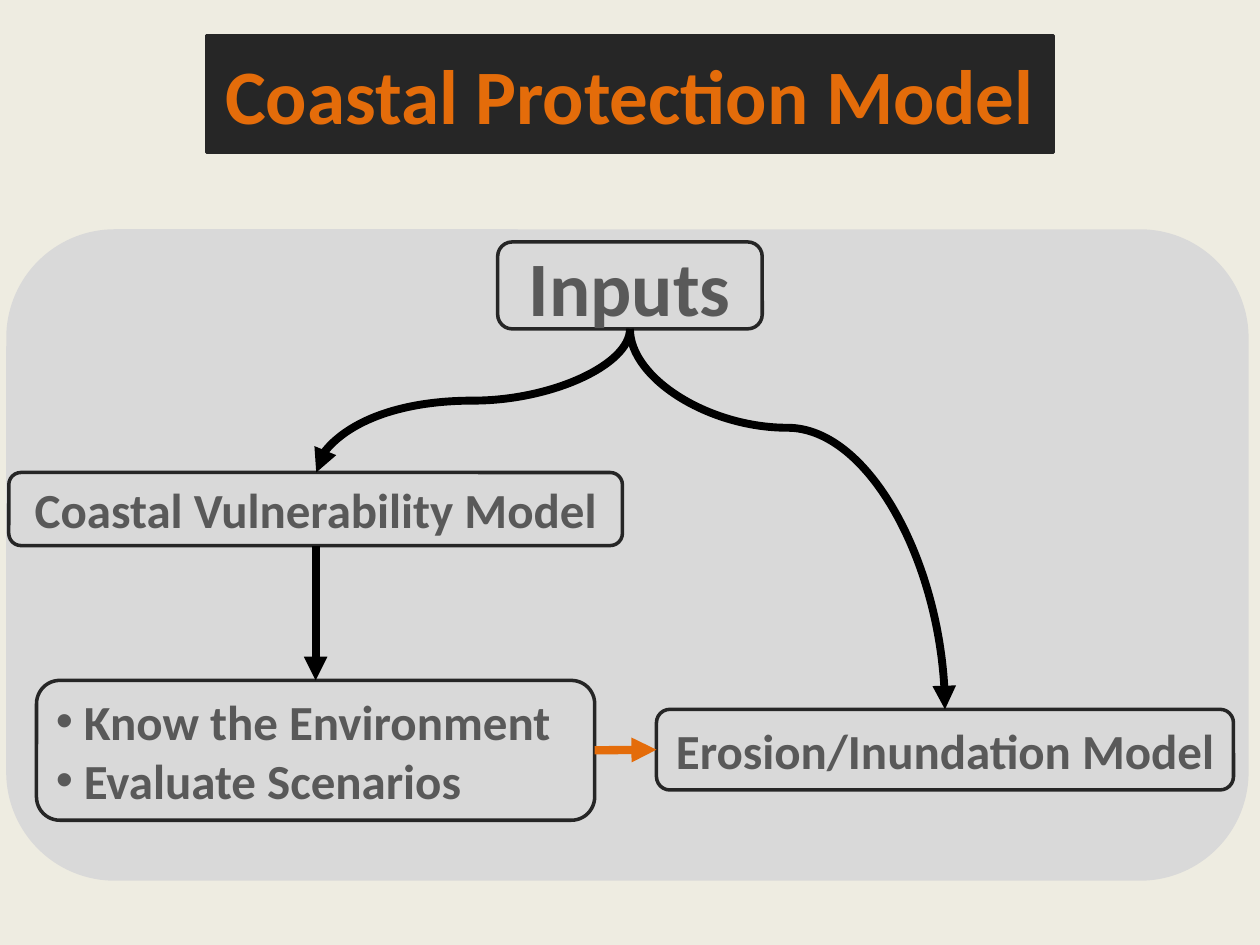
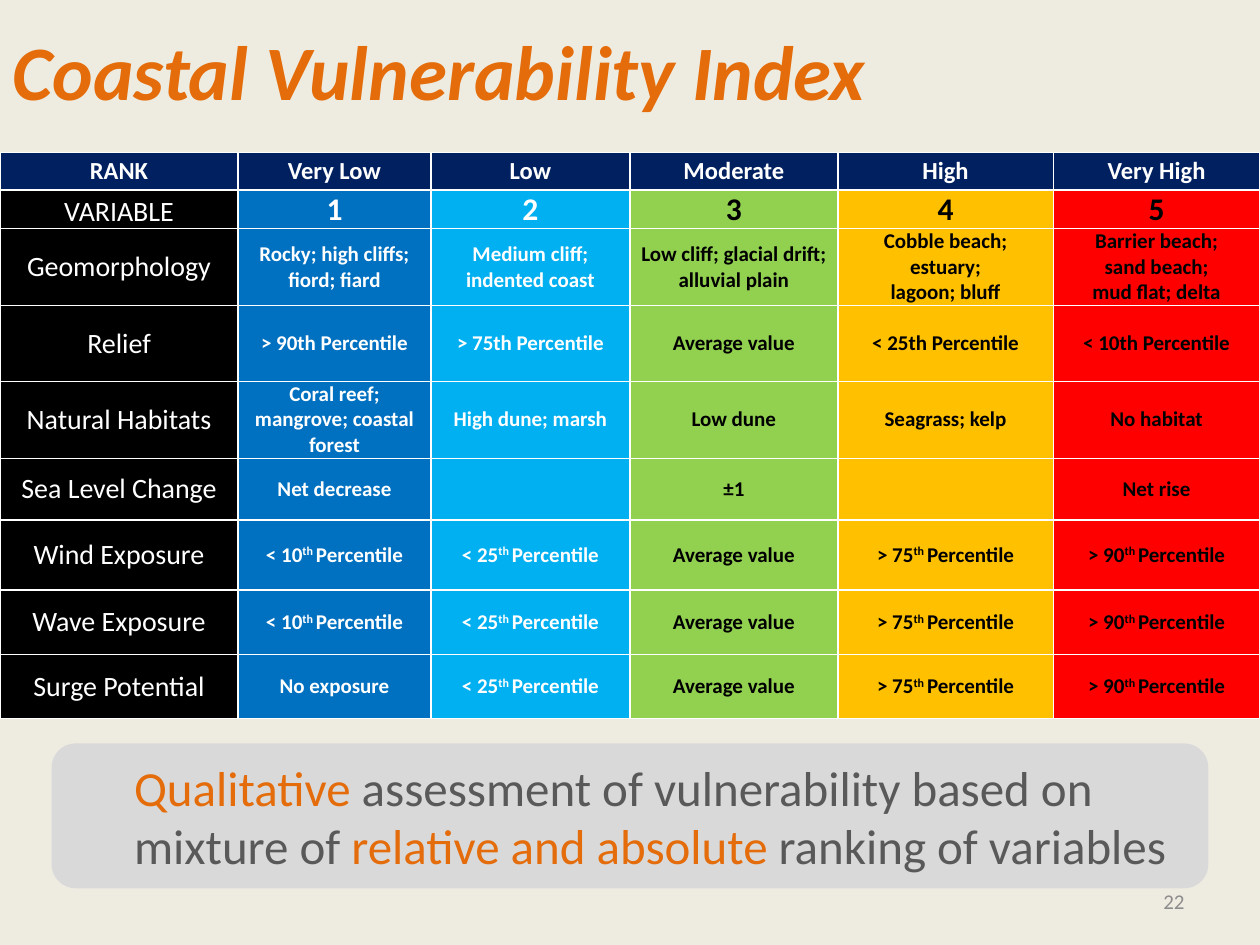
import pptx
import pptx.dml.color
import pptx.enum.shapes
import pptx.enum.text
import pptx.oxml.ns
import pptx.util
from lxml import etree

Pt = pptx.util.Pt
qn = pptx.oxml.ns.qn
ALIGN = pptx.enum.text.PP_ALIGN
MIDDLE = pptx.enum.text.MSO_ANCHOR.MIDDLE
BOTTOM = pptx.enum.text.MSO_ANCHOR.BOTTOM
ROUNDED = pptx.enum.shapes.MSO_SHAPE.ROUNDED_RECTANGLE
CONNECTOR = pptx.enum.shapes.MSO_CONNECTOR

COLORS = {
    "background": "EEECE1", "panel": "D9D9D9", "dark": "262626",
    "orange": "E46C0A", "gray": "595959", "number": "8C8C8C",
    "black": "000000", "white": "FFFFFF", "navy": "002060",
}
RANK_FILLS = ["0070C0", "00B0F0", "92D050", "FFC000", "FF0000"]
RANK_TEXT = ["white", "white", "black", "black", "black"]

COLUMN_WIDTHS = [136.08, 110.16, 113.76, 118.8, 123.12, 118.08]
ROW_HEIGHTS = [21.6, 22, 44, 43.2, 44, 35.2, 40.2, 36.8, 36.6]
EXPOSURE = ["< 10|th |Percentile", "< 25|th |Percentile", "Average value",
            "> 75|th |Percentile", "> 90|th |Percentile"]
INDEX_ROWS = [
    ["RANK", "Very Low", "Low", "Moderate", "High", "Very High"],
    ["VARIABLE", "1", "2", "3", "4", "5"],
    ["Geomorphology", "Rocky; high cliffs; fiord; fiard", "Medium cliff; indented coast",
     "Low cliff; glacial drift; alluvial plain", "Cobble beach; estuary;\vlagoon; bluff",
     "Barrier beach;\vsand beach;\vmud flat; delta"],
    ["Relief", "> 90th Percentile", "> 75th Percentile", "Average value",
     "< 25th Percentile", "< 10th Percentile"],
    ["Natural Habitats", "Coral reef; mangrove; coastal forest", "High dune; marsh",
     "Low dune", "Seagrass; kelp", "No habitat"],
    ["Sea Level Change", "Net decrease", "", "±1", "", "Net rise"],
    ["Wind Exposure", *EXPOSURE],
    ["Wave Exposure", *EXPOSURE],
    ["Surge Potential", "No exposure", *EXPOSURE[1:]],
]


def rgb(name):
    return pptx.dml.color.RGBColor.from_string(COLORS.get(name, name))


class Deck:
    FONT = "Calibri"

    def __init__(self):
        self.prs = pptx.Presentation()
        self.prs.slide_width, self.prs.slide_height = Pt(720), Pt(540)
        fill = self.prs.slide_master.background.fill
        fill.solid()
        fill.fore_color.rgb = rgb("background")
        self.s = None

    def add_slide(self, layout):
        self.s = self.prs.slides.add_slide(self.prs.slide_layouts[layout])

    def font(self, font, size, color, bold=False, italic=False):
        font.name, font.size = self.FONT, Pt(size)
        font.bold, font.italic = bold, italic
        font.color.rgb = rgb(color)

    def paint(self, sp, fill=None, line=None):
        if fill:
            sp.fill.solid()
            sp.fill.fore_color.rgb = rgb(fill)
        else:
            sp.fill.background()
        if line:
            sp.line.color.rgb = rgb(line)
            sp.line.width = Pt(2)
        else:
            sp.line.fill.background()

    def set_text(self, tf, text, size, color, align=ALIGN.CENTER, **style):
        """Fill the frame with one paragraph per line of text."""
        tf.text = text
        tf.word_wrap = True
        tf.vertical_anchor = MIDDLE
        for p in tf.paragraphs:
            p.alignment = align
            for r in p.runs:
                self.font(r.font, size, color, **style)

    def box(self, at, fill=None, line=None):
        sp = self.s.shapes.add_shape(ROUNDED, *map(Pt, at))
        sp.shadow.inherit = False
        self.paint(sp, fill, line)
        return sp

    def label(self, at, text, size=28):
        sp = self.box(at, line="dark")
        self.set_text(sp.text_frame, text, size, "gray", bold=True)
        return sp

    def rounded_placeholder(self, index, at, fill=None, line=None):
        sp = self.s.placeholders[index]
        sp.left, sp.top, sp.width, sp.height = map(Pt, at)
        geometry = etree.SubElement(sp.element.spPr, qn("a:prstGeom"), prst="roundRect")
        etree.SubElement(geometry, qn("a:avLst"))
        self.paint(sp, fill, line)
        sp.text_frame.auto_size = pptx.enum.text.MSO_AUTO_SIZE.NONE
        return sp

    def title(self, at, text, fill=None, align=ALIGN.CENTER, italic=False):
        sp = self.rounded_placeholder(0, at, fill, fill)
        self.set_text(sp.text_frame, text, 44, "orange", align, bold=True, italic=italic)

    def bullets(self, at, items):
        sp = self.rounded_placeholder(1, at, line="dark")
        self.set_text(sp.text_frame, "\n".join(items), 28, "gray", ALIGN.LEFT, bold=True)
        for p in sp.text_frame.paragraphs:
            p.space_before = Pt(0)
            pPr = p._p.get_or_add_pPr()
            pPr.set("marL", str(Pt(16)))
            pPr.set("indent", str(Pt(-16)))
            etree.SubElement(pPr, qn("a:buChar"), char="•")
        return sp

    def arrow(self, kind, ends, color, width):
        line = self.s.shapes.add_connector(kind, *map(Pt, ends))
        line.line.color.rgb = rgb(color)
        line.line.width = Pt(width)
        etree.SubElement(line.line._get_or_add_ln(), qn("a:tailEnd"), type="triangle")
        etree.SubElement(line.element.spPr, qn("a:effectLst"))
        return line

    def straight_arrow(self, start, start_side, end, end_side, color, width):
        line = self.arrow(CONNECTOR.STRAIGHT, (0, 0, 0, 0), color, width)
        line.begin_connect(start, start_side)
        line.end_connect(end, end_side)

    def curved_arrow(self, x1, y1, x2, y2, bend):
        """Draw an S-curve that leaves and arrives vertically, bending at a share of its drop."""
        cx, cy = (x1 + x2) / 2, (y1 + y2) / 2
        half_w, half_h = (y2 - y1) / 2, abs(x2 - x1) / 2
        rightward = x2 > x1
        if rightward:
            half_w = -half_w
        line = self.arrow(CONNECTOR.CURVE, (cx - half_w, cy - half_h, cx + half_w, cy + half_h),
                          "black", 4.5)
        spPr = line.element.spPr
        spPr.find(qn("a:xfrm")).set("rot", str((270 if rightward else 90) * 60000))
        guides = spPr.find(qn("a:prstGeom")).find(qn("a:avLst"))
        etree.SubElement(guides, qn("a:gd"), name="adj1", fmla=f"val {round(bend * 100000)}")

    def cell(self, cell, text, fill, size, color, bold, anchor=MIDDLE):
        """Fill a table cell; text between bars is superscript."""
        cell.margin_left = cell.margin_right = Pt(5)
        cell.margin_top = cell.margin_bottom = 0
        cell.vertical_anchor = anchor
        p = cell.text_frame.paragraphs[0]
        p.alignment = ALIGN.CENTER
        if "|" in text:
            for part in text.split("|"):
                p.add_run().text = part
            p.runs[1]._r.get_or_add_rPr().set("baseline", "30000")
        else:
            p.text = text
        for r in p.runs:
            self.font(r.font, size, color, bold)
        tcPr = cell._tc.get_or_add_tcPr()
        for side in ("lnL", "lnR", "lnT", "lnB"):
            ln = etree.SubElement(tcPr, qn(f"a:{side}"), w=str(Pt(1)))
            solid = etree.SubElement(ln, qn("a:solidFill"))
            etree.SubElement(solid, qn("a:srgbClr"), val=COLORS["white"])
        cell.fill.solid()
        cell.fill.fore_color.rgb = rgb(fill)

    def index_table(self, left, top):
        frame = self.s.shapes.add_table(len(INDEX_ROWS), len(COLUMN_WIDTHS), Pt(left), Pt(top),
                                        Pt(sum(COLUMN_WIDTHS)), Pt(sum(ROW_HEIGHTS)))
        table = frame.table
        table.horz_banding = False
        for column, width in zip(table.columns, COLUMN_WIDTHS):
            column.width = Pt(width)
        for i, (row, height, texts) in enumerate(zip(table.rows, ROW_HEIGHTS, INDEX_ROWS)):
            row.height = Pt(height)
            for j, (cell, text) in enumerate(zip(row.cells, texts)):
                if i == 0:
                    self.cell(cell, text, "navy", 14, "white", True)
                elif j == 0:
                    self.cell(cell, text, "black", 16, "white", False,
                              BOTTOM if i == 1 else MIDDLE)
                else:
                    self.cell(cell, text, RANK_FILLS[j - 1], 18 if i == 1 else 12,
                              RANK_TEXT[j - 1], True)

    def callout(self, at, parts):
        """Draw a panel whose text alternates between orange and gray."""
        sp = self.box(at, fill="panel")
        tf = sp.text_frame
        tf.word_wrap = True
        p = tf.paragraphs[0]
        p.alignment = ALIGN.LEFT
        p._p.get_or_add_pPr().set("marL", str(Pt(36)))
        for i, part in enumerate(parts):
            r = p.add_run()
            r.text = part
            self.font(r.font, 28, "gray" if i % 2 else "orange")

    def page_number(self, number):
        sp = self.s.shapes.add_textbox(Pt(516.24), Pt(500.4), Pt(167.76), Pt(28.8))
        self.set_text(sp.text_frame, str(number), 12, "number", ALIGN.RIGHT)


def model_slide(deck):
    deck.add_slide(1)
    deck.title((118.08, 20.16, 483.84, 66.96), "Coastal Protection Model", fill="dark")
    panel = deck.box((3.6, 131.04, 709.92, 372.24), fill="panel")
    tree = deck.s.shapes.element
    tree.remove(panel.element)
    tree.insert(2, panel.element)  # behind the list placeholder
    deck.label((284.4, 138.24, 151.2, 49.68), "Inputs", 44)
    vulnerability = deck.label((5.04, 270, 350.64, 41.76), "Coastal Vulnerability Model")
    erosion = deck.label((375.12, 405.36, 329.76, 46.08), "Erosion/Inundation Model")
    uses = deck.bullets((20.88, 388.8, 318.96, 79.92),
                        ["Know the Environment", "Evaluate Scenarios"])
    deck.straight_arrow(uses, 3, erosion, 1, "orange", 4.75)
    deck.straight_arrow(vulnerability, 2, uses, 0, "black", 4.5)
    deck.curved_arrow(360, 187.92, 180.72, 270, 0.5)
    deck.curved_arrow(360, 187.92, 540, 405.36, 0.26)


def index_slide(deck):
    deck.add_slide(5)
    deck.page_number(22)
    deck.title((0, 7.2, 720, 65.52), "Coastal Vulnerability Index", align=ALIGN.LEFT, italic=True)
    deck.index_table(0, 87.12)
    deck.callout((29.52, 424.8, 660.96, 82.8),
                 ["Qualitative", " assessment of vulnerability based on mixture of ",
                  "relative and absolute ", "ranking of variables"])


def main():
    deck = Deck()
    model_slide(deck)
    index_slide(deck)
    deck.prs.save("out.pptx")


if __name__ == "__main__":
    main()
